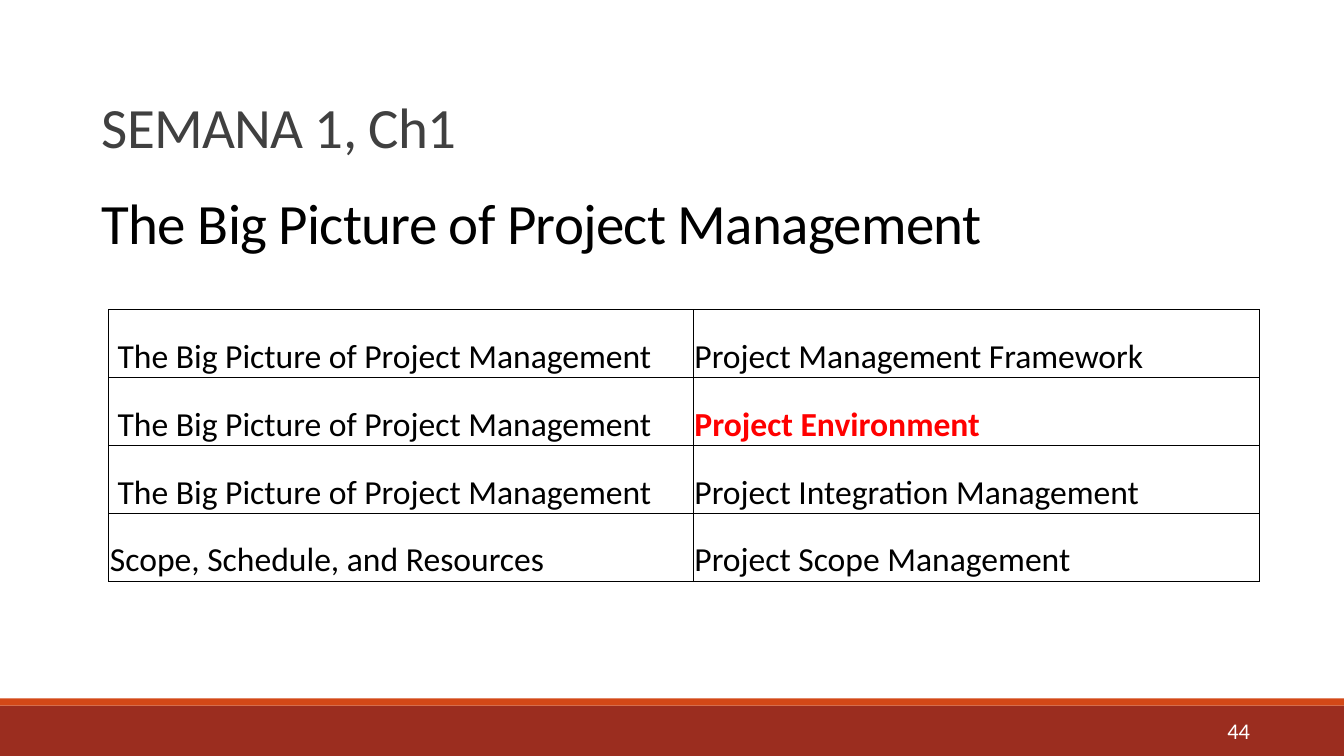
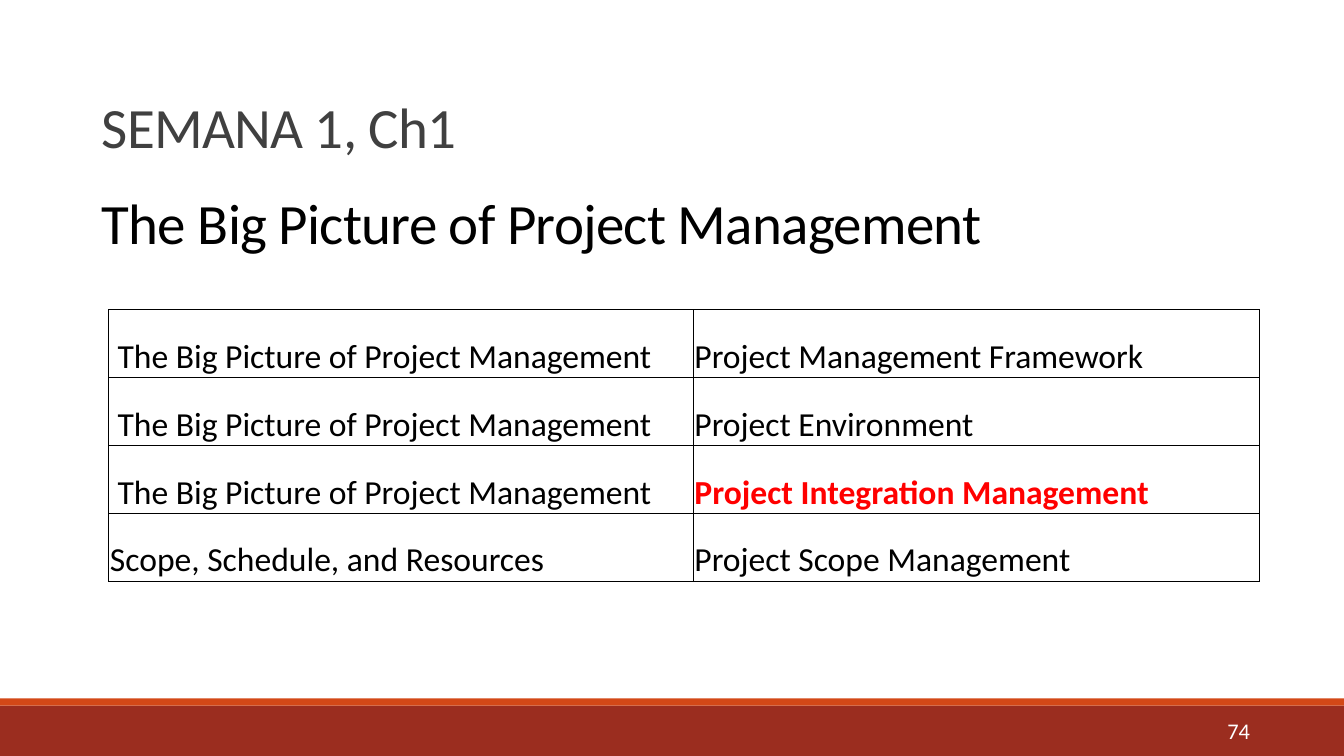
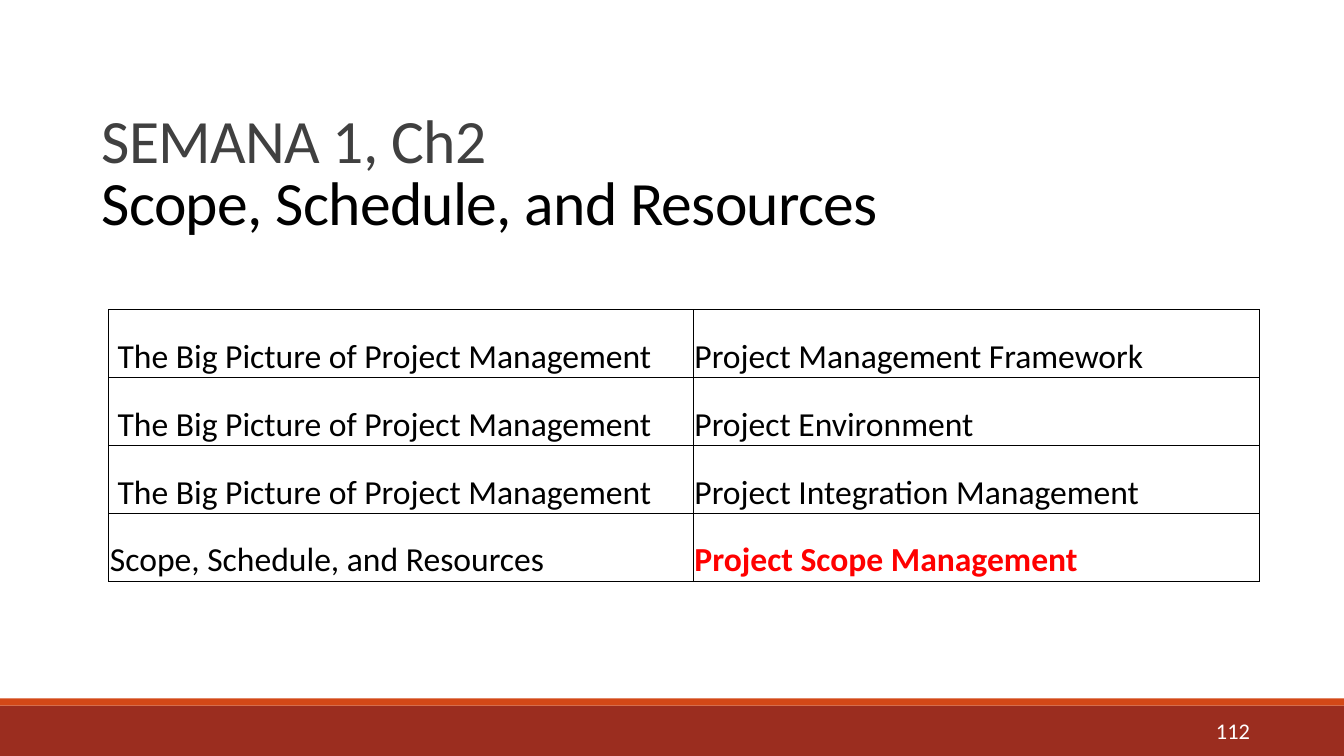
from pptx import Presentation
from pptx.dml.color import RGBColor
from pptx.enum.shapes import MSO_SHAPE
from pptx.enum.text import MSO_ANCHOR, MSO_AUTO_SIZE, PP_ALIGN
from pptx.oxml import parse_xml
from pptx.oxml.ns import nsdecls
from pptx.util import Cm, Pt

# Colours and shared sizes
WHITE = RGBColor(0xFF, 0xFF, 0xFF)
BLACK = RGBColor(0x00, 0x00, 0x00)
GREY = RGBColor(0x40, 0x40, 0x40)
RED = RGBColor(0xFF, 0x00, 0x00)
BRICK = RGBColor(0x9B, 0x2D, 0x1F)
ORANGE = RGBColor(0xD3, 0x48, 0x17)
FONT = "Calibri"
WIDE, HIGH = Cm(33.87), Cm(19.05)

# Text styles
PAGE = {"name": FONT, "size": Pt(16)}
PLAIN = {"name": FONT, "size": Pt(24), "bold": False}
STRONG = {**PLAIN, "bold": True}

# Table content and grid
BIG = "The Big Picture of Project Management"
SCOPE = "Scope, Schedule, and Resources"
TOPICS = [
    (" " + BIG, "Project Management Framework"),
    (" " + BIG, "Project Environment"),
    (" " + BIG, "Project Integration Management"),
    (SCOPE, "Project Scope Management"),
]
COLS = (Cm(14.73), Cm(14.27))
ROW = Cm(1.71)
CELL = {
    "margin_left": Cm(0.03),
    "margin_right": Cm(0.03),
    "margin_top": Cm(0.03),
    "margin_bottom": 0,
    "vertical_anchor": MSO_ANCHOR.BOTTOM,
}

# Per slide: page, heading lines, size, line spacings, marked row
SLIDES = [
    ("44", ("SEMANA 1, Ch1", BIG), 40.7, (1.4, 1.4), 1),
    ("74", ("SEMANA 1, Ch1", BIG), 40.7, (1.4, 1.4), 2),
    ("112", ("SEMANA 1, Ch2", SCOPE), 44, (1.5, 0.85), 3),
]


def apply(item, style):
    for name, value in style.items():
        setattr(item, name, value)


def write(par, text, style, ink):
    run = par.add_run()
    run.text = text
    apply(run.font, style)
    run.font.color.rgb = ink
    return run


def add_band(slide, top, height, ink):
    band = slide.shapes.add_shape(MSO_SHAPE.RECTANGLE, 0, top, WIDE, height)
    band.shadow.inherit = False
    band.fill.solid()
    band.fill.fore_color.rgb = ink
    band.line.fill.background()


def add_foot(slide, page):
    add_band(slide, Cm(17.78), Cm(1.27), BRICK)
    add_band(slide, Cm(17.6), Cm(0.18), ORANGE)
    box = slide.shapes.add_textbox(Cm(2.13), Cm(17.96), Cm(29.62), Cm(0.89))
    frame = box.text_frame
    apply(frame, {"word_wrap": True, "vertical_anchor": MSO_ANCHOR.MIDDLE})
    par = frame.paragraphs[0]
    par.alignment = PP_ALIGN.RIGHT
    write(par, page, PAGE, WHITE)


def set_title(slide, lines, size, gaps):
    title = slide.shapes.title
    apply(title, {"left": Cm(2.31), "top": Cm(1.5),
                  "width": Cm(28.68), "height": Cm(5.16)})
    frame = title.text_frame
    apply(frame, {"word_wrap": True, "auto_size": MSO_AUTO_SIZE.NONE,
                  "vertical_anchor": MSO_ANCHOR.TOP})
    pars = (frame.paragraphs[0], frame.add_paragraph())
    style = {"name": FONT, "size": Pt(size)}
    for par, text, gap, ink in zip(pars, lines, gaps, (GREY, BLACK)):
        apply(par, {"alignment": PP_ALIGN.LEFT, "line_spacing": gap,
                    "space_before": 0})
        run = write(par, text, style, ink)
        run.font._element.set("spc", "-50")


def add_edges(cell):
    # Borders come before the fill in the cell properties
    props = cell._tc.get_or_add_tcPr()
    for spot, side in enumerate("LRTB"):
        props.insert(spot, parse_xml(
            f'<a:ln{side} {nsdecls("a")} w="{Pt(0.5)}"><a:solidFill>'
            f'<a:srgbClr val="{BLACK}"/></a:solidFill></a:ln{side}>'))


def add_topics(slide, marked):
    frame = slide.shapes.add_table(len(TOPICS), len(COLS), Cm(2.74), Cm(7.8),
                                   sum(COLS), ROW * len(TOPICS))
    table = frame.table
    apply(table, {"first_row": False, "horz_banding": False})
    for col, width in zip(table.columns, COLS):
        col.width = width
    for r, texts in enumerate(TOPICS):
        table.rows[r].height = ROW
        for c, text in enumerate(texts):
            cell = table.cell(r, c)
            apply(cell, CELL)
            cell.fill.background()
            add_edges(cell)
            hot = r == marked and c == 1
            write(cell.text_frame.paragraphs[0], text,
                  STRONG if hot else PLAIN, RED if hot else BLACK)


def main():
    deck = Presentation()
    apply(deck, {"slide_width": WIDE, "slide_height": HIGH})
    for page, lines, size, gaps, marked in SLIDES:
        slide = deck.slides.add_slide(deck.slide_layouts[5])
        add_foot(slide, page)
        set_title(slide, lines, size, gaps)
        add_topics(slide, marked)
    deck.save("out.pptx")


if __name__ == "__main__":
    main()
